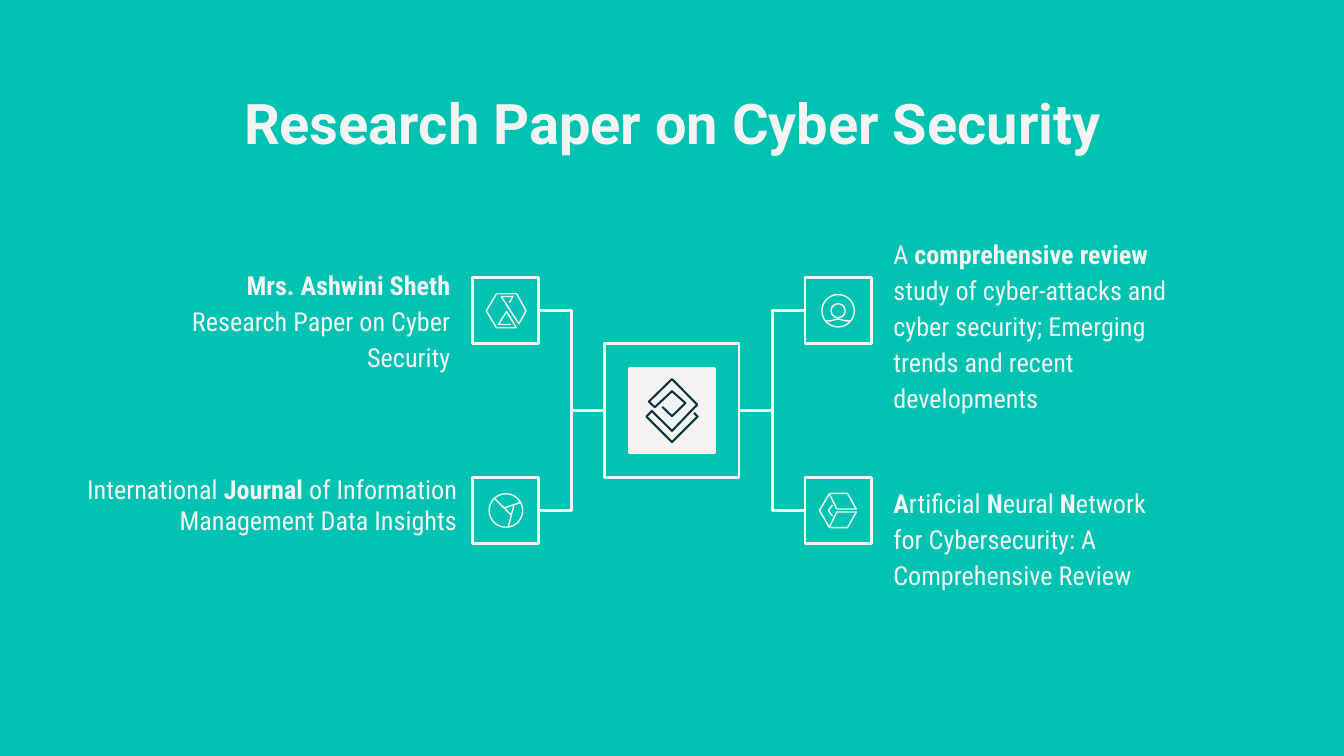
import pptx
import pptx.util
import pptx.dml.color
import pptx.enum.shapes
import pptx.enum.text
import pptx.oxml

Pt = pptx.util.Pt
Color = pptx.dml.color.RGBColor
Kind = pptx.enum.shapes.MSO_SHAPE
Align = pptx.enum.text.PP_ALIGN

TEAL = Color(0x00, 0xC3, 0xB1)
PALE = Color(0xF3, 0xF3, 0xF3)
DARK = Color(0x0C, 0x34, 0x3D)

BODY = "Roboto Condensed"
MID_X, MID_Y = 360, 220
HUB, CORE, NODE = 72, 45.5, 35.4
GAP_X, GAP_Y = 89, 53.5

TITLE = [("Research Paper on Cyber Security", True)]

NOTES = [
    (72.7, 134.6, 175.7, 35.3, Align.RIGHT, 19.2, 7.2, 1.15,
     [("Mrs. Ashwini Sheth ", True), ("Research Paper on Cyber Security", False)]),
    (459.4, 118.1, 172.8, 35.3, Align.LEFT, 19.2, 7.2, 1.15,
     [("A ", False), ("comprehensive review ", True),
      ("study of cyber-attacks and cyber security; "
       "Emerging trends and recent developments", False)]),
    (459.4, 251.3, 172.8, 55.4, Align.LEFT, 19.2, 7.2, 1.15,
     [("A", True), ("rtificial ", False), ("N", True), ("eural ", False),
      ("N", True), ("etwork for Cybersecurity: A Comprehensive Review", False)]),
    (34.6, 249.8, 217.4, 58.3, Align.RIGHT, 7.2, 3.6, 1,
     [("International ", False), ("Journal", True),
      (" of Information Management Data Insights", False)]),
]

MAZE = [[(-5.2, -2), (0, 3), (7.2, -4), (0, -10.4), (-9.2, -1.8), (-12.4, -4.8),
         (0, -16.9), (13.5, -3.2), (0, 10.9), (-10.8, 0.2), (-13.7, 3.2),
         (0, 16.9), (13.7, 3.2), (11.8, 1.3)]]

ICONS = [
    {"side": -1, "row": -1, "rings": [], "paths": [
        [(1.9, -4.2), (3.7, -7.6), (-2.5, -7.6), (7, 7), (10.8, 0), (5.8, -9.1),
         (-5, -9.1), (-10.5, 0), (-5, 9.1), (5.6, 9.1), (0.4, 0.4), (-4, 7.4),
         (2.5, 7.4)]]},
    {"side": -1, "row": 1, "rings": [(0, 0, 9)], "paths": [
        [(-5.9, -6.3), (-0.9, -1.3), (7.9, -4.3)],
        [(-0.9, -1.3), (2.7, 2.2)],
        [(4.3, -2.7), (1.3, 8.9)]]},
    {"side": 1, "row": -1, "rings": [(0, 0, 8.7), (0, 0, 3.8)], "paths": [
        [(-6.5, 5.4), (-4, 5.4), (0, 4.4), (4, 5.4), (6.5, 5.4)]]},
    {"side": 1, "row": 1, "rings": [], "paths": [
        [(-4, -9.2), (5, -9.2), (9.7, -0.8), (-0.7, -0.8), (-4.7, -9), (-10, 0),
         (-4.7, 9), (-0.7, 0.8), (9.7, 0.8), (5, 9.2), (-4, 9.2)],
        [(-3, -3), (-5.2, 0), (-3, 3)]]},
]

deck = pptx.Presentation()
deck.slide_width, deck.slide_height = Pt(720), Pt(405)
slide = deck.slides.add_slide(deck.slide_layouts[6])
slide.background.fill.solid()
slide.background.fill.fore_color.rgb = TEAL
shapes = slide.shapes


def style(shape, width, ink=PALE, fill=None):
    shape.shadow.inherit = False
    shape.line.color.rgb = ink
    shape.line.width = Pt(width)
    if fill is None:
        shape.fill.background()
    else:
        shape.fill.solid()
        shape.fill.fore_color.rgb = fill


def center(kind, x, y, size, width, fill=None):
    shape = shapes.add_shape(kind, Pt(x - size / 2), Pt(y - size / 2), Pt(size), Pt(size))
    style(shape, width, fill=fill)


def trace(paths, x, y, width, ink):
    for path in paths:
        spots = [(Pt(x + dx), Pt(y + dy)) for dx, dy in path]
        pen = shapes.build_freeform(*spots[0])
        pen.add_line_segments(spots[1:], close=False)
        style(pen.convert_to_shape(), width, ink)


def write(x, y, w, h, align, left, top, space, runs, size=14, face=BODY):
    frame = shapes.add_textbox(Pt(x), Pt(y), Pt(w), Pt(h)).text_frame
    frame.word_wrap = True
    frame.margin_left, frame.margin_right = Pt(left), Pt(7.2)
    frame.margin_top = frame.margin_bottom = Pt(top)
    para = frame.paragraphs[0]
    para.alignment, para.line_spacing = align, space
    for text, bold in runs:
        run = para.add_run()
        run.text = text
        run.font.name, run.font.size = face, Pt(size)
        run.font.bold = bold
        run.font.color.rgb = PALE


def link(side, row):
    wire = shapes.add_connector(
        pptx.enum.shapes.MSO_CONNECTOR.ELBOW,
        Pt(MID_X + side * (GAP_X - NODE / 2)), Pt(MID_Y + row * GAP_Y),
        Pt(MID_X + side * HUB / 2), Pt(MID_Y))
    wire.line.color.rgb = PALE
    wire.line.width = Pt(1.5)
    props = wire._element.spPr
    props.append(props.makeelement(pptx.oxml.ns.qn("a:effectLst"), {}))


write(56.9, 40.3, 607, 45.4, Align.CENTER, 7.2, 7.2, 1, TITLE, 30, "Roboto")
for note in NOTES:
    write(*note)

center(Kind.RECTANGLE, MID_X, MID_Y, HUB, 1.5)
center(Kind.RECTANGLE, MID_X, MID_Y, CORE, 1.5, PALE)
trace(MAZE, MID_X, MID_Y, 1.1, DARK)

for icon in ICONS:
    x, y = MID_X + icon["side"] * GAP_X, MID_Y + icon["row"] * GAP_Y
    center(Kind.RECTANGLE, x, y, NODE, 1.5)
    for dx, dy, radius in icon["rings"]:
        center(Kind.OVAL, x + dx, y + dy, radius * 2, 0.75)
    trace(icon["paths"], x, y, 0.75, PALE)
    link(icon["side"], icon["row"])

deck.save("out.pptx")
